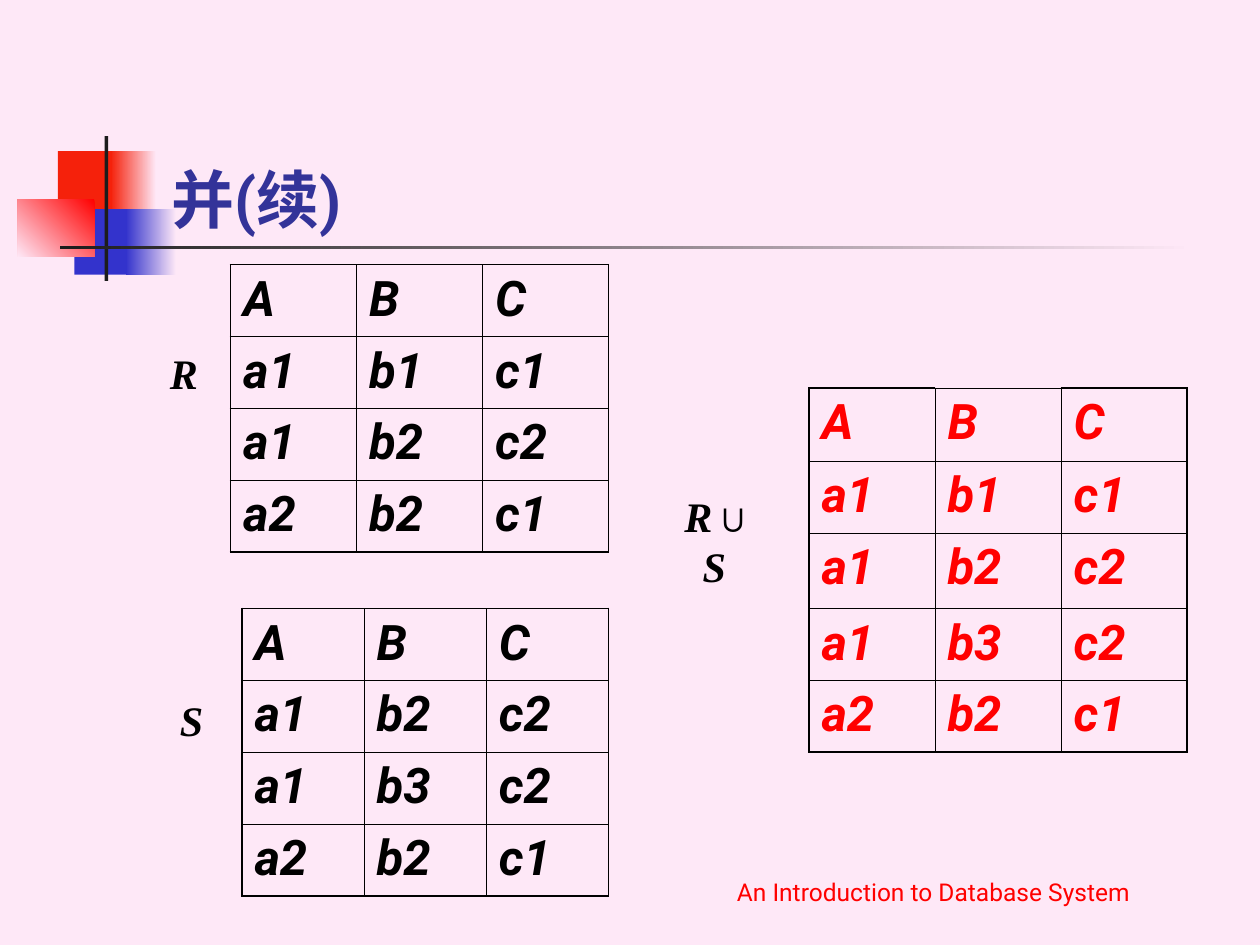
from dataclasses import dataclass

from lxml import etree
from pptx import Presentation
from pptx import util as u
from pptx.dml.color import RGBColor
from pptx.enum import shapes, text
from pptx.oxml import ns


@dataclass(frozen=True)
class Theme:
    background: str = "FEE8F7"
    black: str = "000000"
    ink: str = "1C1C1C"
    red: str = "FF0000"
    tile_red: str = "F5210B"
    tile_blue: str = "3333CC"
    title: str = "333399"
    sans: str = "Roboto"
    serif: str = "Times New Roman"
    title_size: int = 36
    cell_size: int = 28
    label_size: int = 24
    footer_size: int = 14
    thin: float = 0.45
    thick: float = 1.08


THEME = Theme()
HEADER = "A B C"


def rgb(value):
    return RGBColor.from_string(value)


def style(paragraph, size, color, face=THEME.sans, bold=False, italic=False):
    font = paragraph.font
    font.name, font.size = face, u.Pt(size)
    font.bold, font.italic = bold, italic
    font.color.rgb = rgb(color)


def add_block(slide, box, *colors, angle=180):
    """Rectangle with one colour, or two blended along a clockwise angle."""
    block = slide.shapes.add_shape(
        shapes.MSO_SHAPE.RECTANGLE, *map(u.Inches, box))
    block.shadow.inherit = False
    block.line.fill.background()
    if len(colors) == 1:
        block.fill.solid()
        block.fill.fore_color.rgb = rgb(colors[0])
        return
    block.fill.gradient()
    block.fill.gradient_angle = 360 - angle
    for stop, color in zip(block.fill.gradient_stops, colors):
        stop.color.rgb = rgb(color)


def add_text(slide, box, wording, anchor, wrap=True, centred=True, **look):
    frame = slide.shapes.add_textbox(*map(u.Inches, box)).text_frame
    frame.word_wrap = wrap
    frame.vertical_anchor = anchor
    paragraph = frame.paragraphs[0]
    if centred:
        paragraph.alignment = text.PP_ALIGN.CENTER
    style(paragraph, **look)
    for part in wording:
        run = paragraph.add_run()
        run.text = part
        if part == "∪":
            run.font.italic = False


def add_label(slide, box, *wording):
    add_text(slide, box, wording, text.MSO_ANCHOR.MIDDLE, wrap=False,
             size=THEME.label_size, color=THEME.black, face=THEME.serif,
             bold=True, italic=True)


def add_border(cell, side, width):
    line = etree.SubElement(cell._tc.get_or_add_tcPr(), ns.qn(f"a:ln{side}"),
                            w=str(int(u.Pt(width))))
    fill = etree.SubElement(line, ns.qn("a:solidFill"))
    etree.SubElement(fill, ns.qn("a:srgbClr"), val=THEME.black)


def add_relation(slide, left, top, column_width, row_heights, tuples, color):
    """Table of a relation: header, tuples and a heavier outer frame."""
    rows = [row.split() for row in (HEADER, *tuples)]
    last_row, last_column = len(rows) - 1, len(rows[0]) - 1
    relation = slide.shapes.add_table(
        len(rows), len(rows[0]), u.Inches(left), u.Inches(top),
        u.Inches(column_width * len(rows[0])),
        u.Inches(sum(row_heights))).table
    relation.first_row = relation.horz_banding = False
    for column in relation.columns:
        column.width = u.Inches(column_width)
    for r, values in enumerate(rows):
        relation.rows[r].height = u.Inches(row_heights[r])
        for c, value in enumerate(values):
            cell = relation.cell(r, c)
            cell.text = value
            paragraph = cell.text_frame.paragraphs[0]
            paragraph.space_before = u.Pt(7)
            style(paragraph, THEME.cell_size, color, bold=True, italic=True)
            # The middle header cell keeps a thin top edge
            heavy = {"L": c == 0, "R": c == last_column,
                     "T": r == 0 and c in (0, last_column),
                     "B": r == last_row}
            for side, is_heavy in heavy.items():
                add_border(cell, side, THEME.thick if is_heavy else THEME.thin)
            cell.fill.background()


def add_decoration(slide):
    pale = THEME.background
    add_block(slide, (0.46, 1.2, 0.48, 0.52), THEME.tile_red)
    add_block(slide, (0.88, 1.2, 0.36, 0.52), pale, THEME.tile_red)
    add_block(slide, (0.59, 1.66, 0.46, 0.52), THEME.tile_blue)
    add_block(slide, (1, 1.66, 0.4, 0.52), pale, THEME.tile_blue)
    add_block(slide, (0.14, 1.58, 0.61, 0.46), THEME.red, pale, angle=135)
    add_block(slide, (0.83, 1.08, 0.03, 1.15), THEME.ink)
    add_block(slide, (0.48, 1.95, 9, 0.03), pale, THEME.ink)


def main():
    deck = Presentation()
    deck.slide_width, deck.slide_height = u.Inches(10), u.Inches(7.5)
    slide = deck.slides.add_slide(deck.slide_layouts[6])
    slide.background.fill.solid()
    slide.background.fill.fore_color.rgb = rgb(THEME.background)

    # Corner tiles, rules and title
    add_decoration(slide)
    add_text(slide, (1.26, 0.67, 8.52, 1.25), ["并(续)"],
             text.MSO_ANCHOR.BOTTOM, centred=False,
             size=THEME.title_size, color=THEME.title, bold=True)

    # Relations R and S with their union
    add_relation(slide, 1.83, 2.1, 1, [0.57] * 4,
                 ["a1 b1 c1", "a1 b2 c2", "a2 b2 c1"], THEME.black)
    add_relation(slide, 6.42, 3.08, 1, [0.58, 0.57, 0.6, 0.57, 0.57],
                 ["a1 b1 c1", "a1 b2 c2", "a1 b3 c2", "a2 b2 c1"], THEME.red)
    add_relation(slide, 1.92, 4.83, 0.97, [0.57] * 4,
                 ["a1 b2 c2", "a1 b3 c2", "a2 b2 c1"], THEME.black)

    # Relation names
    add_label(slide, (1.25, 2.5, 0.33, 0.92), "R")
    add_label(slide, (1.33, 5.25, 0.33, 0.92), "S")
    add_label(slide, (5.25, 3.83, 0.92, 0.92), "R", "∪", "S ")

    # Footer
    add_text(slide, (5.08, 6.74, 4.66, 0.5),
             ["An Introduction to Database System"], text.MSO_ANCHOR.BOTTOM,
             size=THEME.footer_size, color=THEME.red)

    deck.save("out.pptx")


if __name__ == "__main__":
    main()
